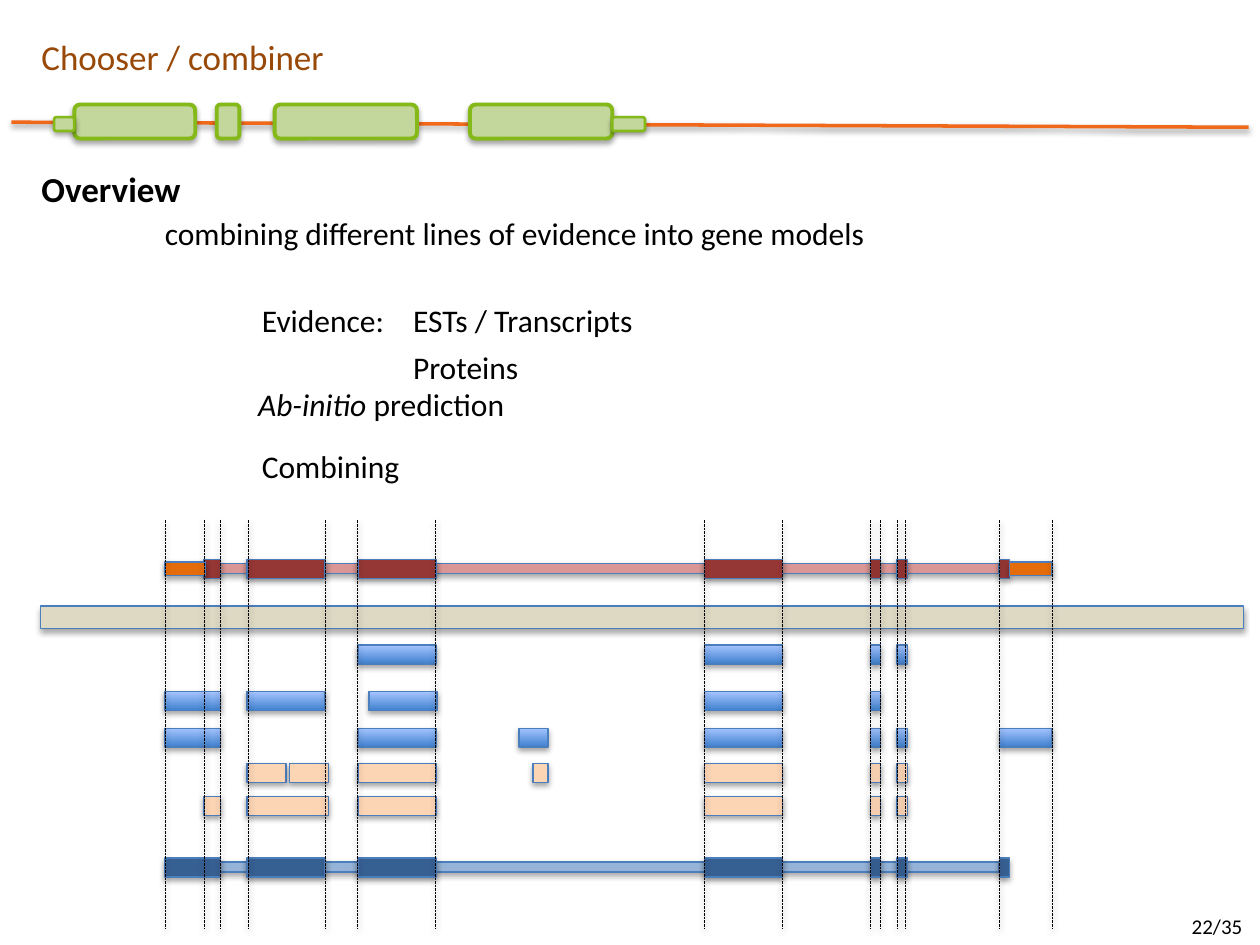
from dataclasses import dataclass
from lxml.etree import SubElement
from pptx import Presentation
from pptx.dml.color import RGBColor
from pptx.enum.dml import MSO_LINE
from pptx.enum.shapes import MSO_CONNECTOR, MSO_SHAPE
from pptx.enum.text import MSO_AUTO_SIZE
from pptx.oxml.ns import qn
from pptx.util import Pt

SCALE = 9144


@dataclass(frozen=True)
class Theme:
    font: str = "Calibri"
    head: int = 20
    body: int = 18
    small: int = 12
    ink: str = "000000"
    title: str = "984807"
    track: str = "F0681A"
    leaf: str = "C3D69B"
    stem: str = "84B919"
    edge: str = "4B7EBC"
    genome: str = "DDD9C3"
    rose: str = "D99694"
    red: str = "953735"
    orange: str = "E46C0A"
    peach: str = "FCD5B5"
    sky: str = "95B3D7"
    navy: str = "376092"
    blend: tuple = ("3F80CE", "A4C4FF")


class Board:
    def __init__(self, slide, theme):
        self.slide = slide
        self.theme = theme
        self.home = slide.shapes

    def group(self):
        self.home = self.slide.shapes.add_group_shape().shapes

    def leave(self):
        self.home = self.slide.shapes

    def shade(self, item, drop, alpha):
        props = item._element.spPr
        list_ = props.find(qn("a:effectLst"))
        if list_ is None:
            list_ = SubElement(props, qn("a:effectLst"))
        cast = SubElement(list_, qn("a:outerShdw"), blurRad="40000", dist=str(drop),
                          dir="5400000", rotWithShape="0")
        tone = SubElement(cast, qn("a:srgbClr"), val=self.theme.ink)
        SubElement(tone, qn("a:alpha"), val=str(alpha))

    def box(self, left, top, width, height, fill, edge=None, weight=0.75, kind=MSO_SHAPE.RECTANGLE):
        item = self.home.add_shape(kind, *(n * SCALE for n in (left, top, width, height)))
        if isinstance(fill, tuple):
            item.fill.gradient()
            item.fill.gradient_angle = 90
            for stop, tone, place in zip(item.fill.gradient_stops, fill, (0, 1)):
                stop.color.rgb = RGBColor.from_string(tone)
                stop.position = place
        else:
            item.fill.solid()
            item.fill.fore_color.rgb = RGBColor.from_string(fill)
        item.line.color.rgb = RGBColor.from_string(edge or self.theme.edge)
        item.line.width = Pt(weight)
        item.shadow.inherit = False
        self.shade(item, 23000, 35000)

    def row(self, top, spans, fill, height=15):
        for left, width in spans:
            self.box(left, top, width, height, fill)

    def line(self, start, end, tone, weight, dash=None):
        item = self.home.add_connector(MSO_CONNECTOR.STRAIGHT, *(n * SCALE for n in start + end))
        item.line.color.rgb = RGBColor.from_string(tone)
        item.line.width = Pt(weight)
        if dash:
            item.line.dash_style = dash
        self.shade(item, 20000, 38000)

    def text(self, left, top, width, height, runs, size=None, tone=None, bold=False, wrap=False):
        item = self.home.add_textbox(*(n * SCALE for n in (left, top, width, height)))
        frame = item.text_frame
        frame.word_wrap = wrap
        frame.auto_size = MSO_AUTO_SIZE.NONE if wrap else MSO_AUTO_SIZE.SHAPE_TO_FIT_TEXT
        para = frame.paragraphs[0]
        para.font.name = self.theme.font
        para.font.size = Pt(size or self.theme.body)
        para.font.bold = bold
        para.font.color.rgb = RGBColor.from_string(tone or self.theme.ink)
        for words, slant in runs:
            run = para.add_run()
            run.text = words
            if slant:
                run.font.italic = True


def banner(board):
    theme = board.theme
    board.line((9, 97), (991, 101), theme.track, 2)
    for left, width in ((59, 96), (172, 18), (218, 113), (373, 113)):
        board.box(left, 83, width, 27, theme.leaf, theme.stem, 2.25, MSO_SHAPE.ROUNDED_RECTANGLE)
    for left, width in ((486, 26), (43, 16)):
        board.box(left, 93, width, 11, theme.leaf, theme.stem, 1.5, MSO_SHAPE.ROUNDED_RECTANGLE)


def words(board):
    theme = board.theme
    board.text(23, 23, 252, 44, [("Chooser / combiner", False)], theme.head, theme.title)
    board.text(23, 128, 132, 44, [("Overview", False)], theme.head, bold=True)
    for left, top, width, label in (
        (121, 165, 584, "combining different lines of evidence into gene models"),
        (198, 234, 129, "Evidence:"),
        (318, 234, 196, "ESTs / Transcripts"),
        (318, 271, 106, "Proteins"),
        (198, 350, 130, "Combining"),
    ):
        board.text(left, top, width, 40, [(label, False)])
    board.text(195, 301, 219, 40, [("Ab-initio ", True), ("prediction", False)])
    board.text(936, 720, 64, 30, [("22/35", False)], theme.small, wrap=True)


def genes(board):
    theme = board.theme
    first, wide, third = (196, 62), (284, 62), (559, 62)
    tail = [(691, 8), (712, 8)]
    core = [wide, third] + tail
    lead, last = (131, 44), (793, 8)

    board.box(32, 481, 955, 18, theme.genome)
    for top, thin, thick, start in (
        (681, theme.sky, theme.navy, lead),
        (444, theme.rose, theme.red, (162, 13)),
    ):
        board.group()
        board.box(171, top + 3, 622, 8, thin)
        board.row(top, [first] + core + [last, start], thick)
    board.row(446, [(131, 32), (801, 34)], theme.orange, 11)

    for fill, rows in (
        (theme.peach, (
            (606, [(196, 31), (230, 31), (423, 12)] + core),
            (632, [(162, 13), (196, 65)] + core),
        )),
        (theme.blend, (
            (512, core),
            (549, [lead, first, (293, 54), third, tail[0]]),
            (578, [lead, (412, 23), (793, 42)] + core),
        )),
    ):
        board.group()
        for top, spans in rows:
            board.row(top, spans, fill)

    board.group()
    for left in (131, 162, 175, 197, 258, 284, 346, 559, 621, 691, 699, 712, 719, 793, 835):
        board.line((left, 413), (left, 737), theme.ink, 0.5, MSO_LINE.SQUARE_DOT)
    board.leave()


def main():
    deck = Presentation()
    deck.slide_width = 1000 * SCALE
    deck.slide_height = 750 * SCALE
    board = Board(deck.slides.add_slide(deck.slide_layouts[6]), Theme())
    banner(board)
    genes(board)
    words(board)
    deck.save("out.pptx")


if __name__ == "__main__":
    main()
